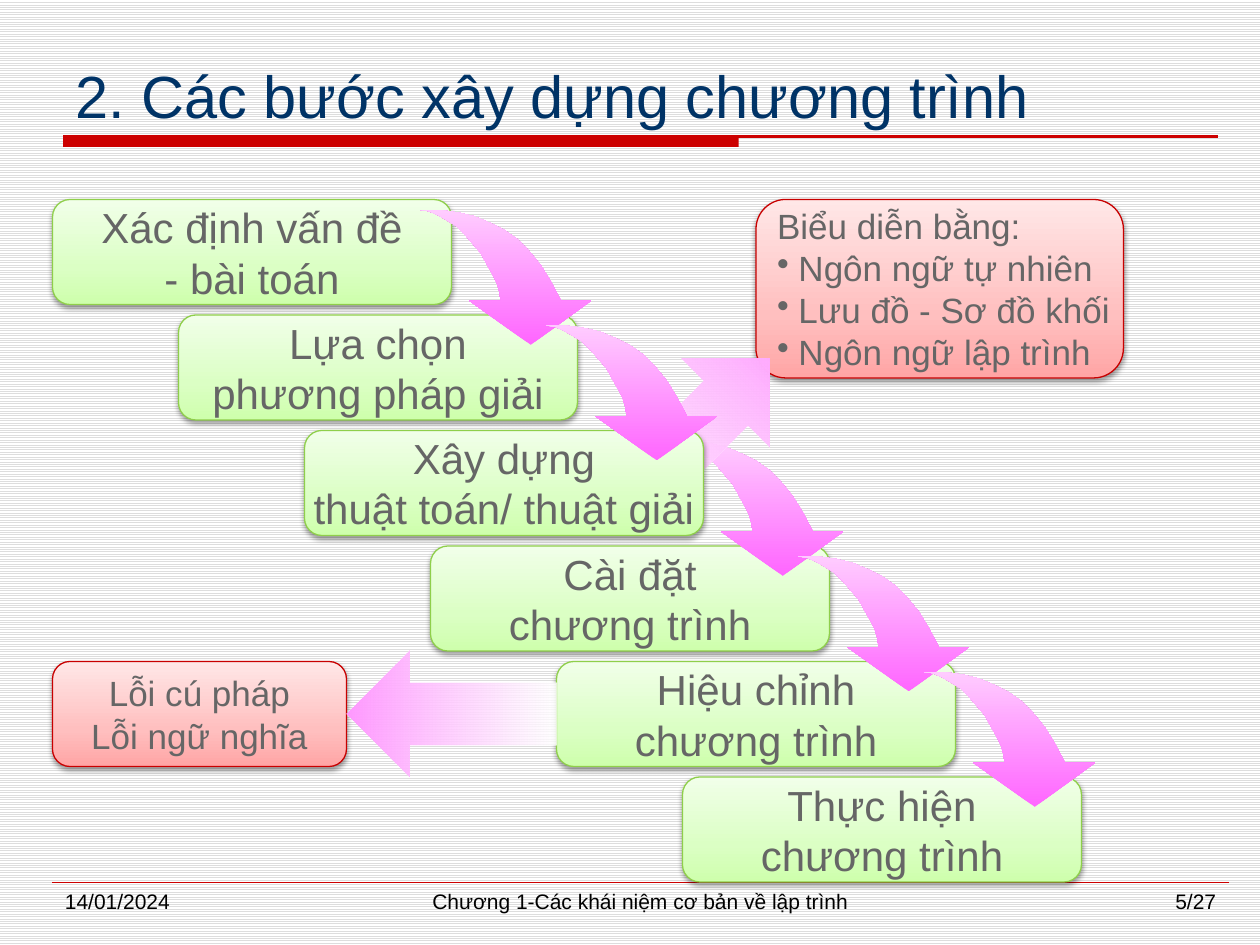
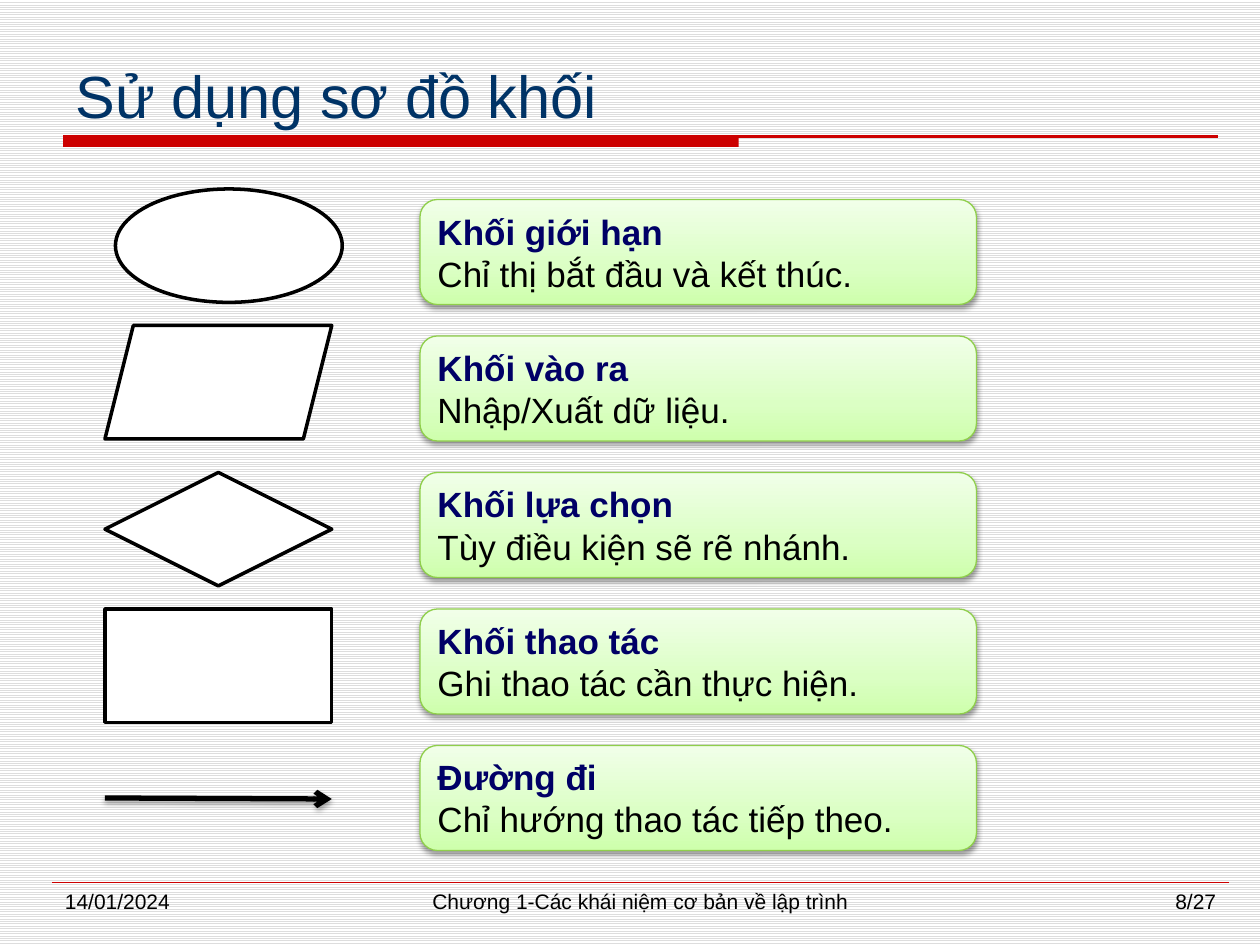
from pptx import Presentation, util as u
from pptx.dml.color import RGBColor
from pptx.enum import dml, shapes, text
from pptx.oxml import parse_xml
from pptx.oxml.ns import nsdecls, qn

COLUMNS, ROWS = 120, 90
FONT = "Arial"
RED, NAVY, GREY, BLACK, WHITE = "CC0000", "003366", "666666", "000000", "FFFFFF"
GREEN = {"stops": [(0, "CEFFAC", 100), (35, "DBFFC4", 100), (100, "F1FFE9", 100)], "edge": "8FCF4B"}
PINK = {"stops": [(0, "FFA5A5", 100), (35, "FFBFBF", 100), (100, "FFE7E7", 100)], "edge": "C80000"}
CURVE_STOPS = [(0, "FF66FF", 100), (100, "FFCCFF", 100)]
POINTER_STOPS = [(0, WHITE, 80), (100, "FF99FF", 100)]

LEFT, CENTER, RIGHT = text.PP_ALIGN.LEFT, text.PP_ALIGN.CENTER, text.PP_ALIGN.RIGHT
SHAPE = shapes.MSO_SHAPE
STRAIGHT = shapes.MSO_CONNECTOR.STRAIGHT

DATE = "14/01/2024"
CHAPTER = "Chương 1-Các khái niệm cơ bản về lập trình"

STEPS_TITLE = "2. Các bước xây dựng chương trình"
STEPS = [
    ["Xác định vấn đề", "- bài toán"],
    ["Lựa chọn", "phương pháp giải"],
    ["Xây dựng", "thuật toán/ thuật giải"],
    ["Cài đặt", "chương trình"],
    ["Hiệu chỉnh", "chương trình"],
    ["Thực hiện", "chương trình"],
]
ERRORS = ["Lỗi cú pháp", "Lỗi ngữ nghĩa"]
FORMS_HEADING = "Biểu diễn bằng:"
FORMS = ["Ngôn ngữ tự nhiên", "Lưu đồ - Sơ đồ khối", "Ngôn ngữ lập trình"]
FRONT_STEP, FRONT_CURVE = 2, 1

BLOCKS_TITLE = "Sử dụng sơ đồ khối"
BLOCKS = [
    ("Khối giới hạn", "Chỉ thị bắt đầu và kết thúc.", SHAPE.OVAL, (11, 18)),
    ("Khối vào ra", "Nhập/Xuất dữ liệu.", SHAPE.PARALLELOGRAM, (10, 31)),
    ("Khối lựa chọn", "Tùy điều kiện sẽ rẽ nhánh.", SHAPE.DIAMOND, (10, 45)),
    ("Khối thao tác", "Ghi thao tác cần thực hiện.", SHAPE.RECTANGLE, (10, 58)),
    ("Đường đi", "Chỉ hướng thao tác tiếp theo.", None, (10, 76)),
]
SYMBOL_WIDTH, SYMBOL_HEIGHT = 21.6, 10.8

CURVE = [
    (0, 0), (16, 0), (30, 2), (43, 5), (55, 10), (67, 16), (77, 23), (87, 33), (96, 44),
    (104, 57), (112, 72), (136, 72), (88, 107), (39, 72), (64, 72), (63, 65), (61, 58),
    (57, 50), (53, 43), (48, 34), (42, 27), (36, 20), (29, 13), (21, 8), (14, 4), (7, 1),
]

deck = Presentation()
deck.slide_width, deck.slide_height = u.Inches(10), u.Inches(7.5)


def color(value):
    return RGBColor.from_string(value)


def grid(*cells):
    sides = (deck.slide_width / COLUMNS, deck.slide_height / ROWS)
    return [round(cell * sides[i % 2]) for i, cell in enumerate(cells)]


def apply(target, values):
    for name, value in values.items():
        setattr(target, name, value)


def write(box, lines, size, ink=BLACK, align=LEFT, frame=None):
    apply(box.text_frame, frame or {})
    for index, line in enumerate(lines):
        wording, extra = line if isinstance(line, tuple) else (line, {})
        para = box.text_frame.paragraphs[0] if index == 0 else box.text_frame.add_paragraph()
        para.alignment = align
        if extra.get("bullet"):
            properties = para._p.get_or_add_pPr()
            indent = u.Inches(0.17)
            properties.set("marL", str(indent))
            properties.set("indent", str(-indent))
            properties.append(parse_xml(f'<a:buChar {nsdecls("a")} char="•"/>'))
        span = para.add_run()
        span.text = wording
        apply(span.font, {"name": FONT, "size": u.Pt(size), "bold": extra.get("bold", False)})
        span.font.color.rgb = color(extra.get("ink", ink))


def stroke(shape, ink, width):
    shape.line.color.rgb = color(ink)
    shape.line.width = u.Pt(width)


def shade(shape, stops, angle):
    shape.fill.gradient()
    shape.fill.gradient_angle = angle
    items = "".join(
        f'<a:gs pos="{place * 1000}"><a:srgbClr val="{ink}">'
        f'<a:alpha val="{opacity * 1000}"/></a:srgbClr></a:gs>'
        for place, ink, opacity in stops
    )
    gradient = shape._element.spPr.find(qn("a:gradFill"))
    gradient.replace(gradient.find(qn("a:gsLst")), parse_xml(f'<a:gsLst {nsdecls("a")}>{items}</a:gsLst>'))


def cast_shadow(shape, opacity=38, distance=1.6):
    effects = shape._element.spPr.find(qn("a:effectLst"))
    effects.append(parse_xml(
        f'<a:outerShdw {nsdecls("a")} blurRad="{u.Pt(3.1)}" dist="{u.Pt(distance)}" '
        f'dir="5400000" rotWithShape="0"><a:srgbClr val="{BLACK}">'
        f'<a:alpha val="{opacity * 1000}"/></a:srgbClr></a:outerShdw>'))


def add_plain(page, kind, place):
    shape = page.shapes.add_shape(kind, *grid(*place))
    shape.shadow.inherit = False
    return shape


def add_rule(page, ends, ink, width):
    rule = page.shapes.add_connector(STRAIGHT, *grid(*ends))
    stroke(rule, ink, width)
    rule._element.spPr.append(parse_xml(f'<a:effectLst {nsdecls("a")}/>'))
    return rule


def add_card(page, place, style, lines, size, ink=GREY, align=CENTER):
    card = add_plain(page, SHAPE.ROUNDED_RECTANGLE, place)
    shade(card, style["stops"], 90)
    stroke(card, style["edge"], 0.75)
    cast_shadow(card)
    write(card, lines, size, ink, align,
          {"word_wrap": False, "vertical_anchor": text.MSO_ANCHOR.MIDDLE})


def add_pointer(page, place, turn):
    pointer = add_plain(page, SHAPE.RIGHT_ARROW, place)
    shade(pointer, POINTER_STOPS, 0)
    pointer.line.fill.background()
    pointer.rotation = turn


def add_step(page, index):
    add_card(page, (5 + 12 * index, 19 + 11 * index, 38, 10), GREEN, STEPS[index], 24)


def add_curve(page, index):
    builder = page.shapes.build_freeform(*CURVE[0], scale=u.Inches(0.01))
    builder.add_line_segments(CURVE[1:], close=True)
    curve = builder.convert_to_shape(*grid(40 + 12 * index, 20 + 11 * index))
    curve.shadow.inherit = False
    shade(curve, CURVE_STOPS, 90)
    curve.line.fill.background()


def dress_master(page):
    master = deck.slide_master
    fill = master.background.fill
    fill.patterned()
    fill.pattern = dml.MSO_PATTERN.LIGHT_HORIZONTAL
    fill.fore_color.rgb, fill.back_color.rgb = color("DDDDDD"), color(WHITE)
    band = add_plain(page, SHAPE.RECTANGLE, (6, 13, 64.35, 1))
    band.fill.solid()
    band.fill.fore_color.rgb = color(RED)
    band.line.fill.background()
    title_rule = add_rule(page, (6, 13, 116, 13), RED, 1.5)
    footer_rule = add_rule(page, (5, 84, 117, 84), RED, 0.25)
    for part in (band, title_rule, footer_rule):
        master.shapes._spTree.append(part._element)


def add_page(title, number):
    page = deck.slides.add_slide(deck.slide_layouts[5])
    heading = page.shapes.title
    apply(heading, dict(zip(("left", "top", "width", "height"), grid(6, 4, 110, 9))))
    write(heading, [title], 34, NAVY, LEFT, {
        "vertical_anchor": text.MSO_ANCHOR.BOTTOM, "auto_size": text.MSO_AUTO_SIZE.NONE})
    footers = [(DATE, 5, 26, LEFT), (CHAPTER, 35, 52, CENTER), (f"{number}/27", 91, 26, RIGHT)]
    for wording, left, width, align in footers:
        box = page.shapes.add_textbox(*grid(left, 84, width, 4.2))
        write(box, [wording], 12, BLACK, align, {"word_wrap": True})
    return page


def build_steps():
    page = add_page(STEPS_TITLE, 5)
    dress_master(page)
    for index in range(len(STEPS)):
        if index != FRONT_STEP:
            add_step(page, index)
    for index in range(len(STEPS) - 1):
        if index != FRONT_CURVE:
            add_curve(page, index)
    add_card(page, (5, 63, 28, 10), PINK, ERRORS, 20)
    add_pointer(page, (33, 62, 20, 12), 180)
    forms = [FORMS_HEADING] + [(form, {"bullet": True}) for form in FORMS]
    add_card(page, (72, 19, 35, 17), PINK, forms, 20, align=LEFT)
    add_pointer(page, (56.25, 35.25, 20, 12), -45)
    add_step(page, FRONT_STEP)
    add_curve(page, FRONT_CURVE)


def build_blocks():
    page = add_page(BLOCKS_TITLE, 8)
    for index, (name, meaning, kind, (left, top)) in enumerate(BLOCKS):
        lines = [(name, {"bold": True, "ink": "000066"}), meaning]
        add_card(page, (40, 19 + 13 * index, 53, 10), GREEN, lines, 20, BLACK, LEFT)
        if kind is None:
            path_line = add_rule(page, (left, top, left + SYMBOL_WIDTH, top + 0.1), BLACK, 3)
            path_line._element.spPr.find(qn("a:ln")).append(
                parse_xml(f'<a:tailEnd {nsdecls("a")} type="arrow"/>'))
            cast_shadow(path_line, 35, 1.8)
        else:
            symbol = add_plain(page, kind, (left, top, SYMBOL_WIDTH, SYMBOL_HEIGHT))
            symbol.fill.solid()
            symbol.fill.fore_color.rgb = color(WHITE)
            stroke(symbol, BLACK, 2)


if __name__ == "__main__":
    build_steps()
    build_blocks()
    deck.save("out.pptx")
